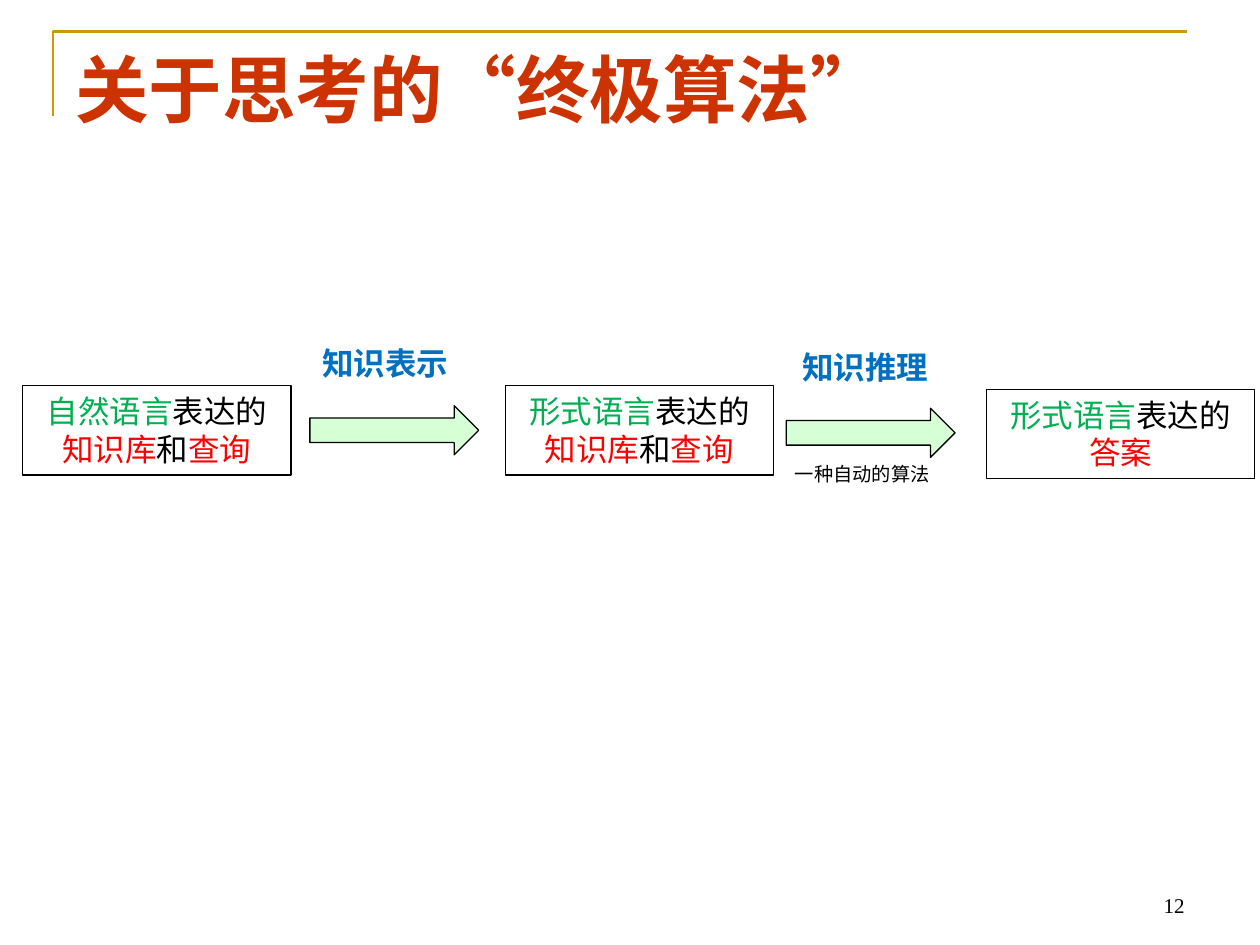
from lxml.etree import SubElement
from pptx import Presentation
from pptx.dml.color import RGBColor
from pptx.enum.shapes import MSO_SHAPE
from pptx.enum.text import MSO_ANCHOR, PP_ALIGN
from pptx.oxml.ns import qn
from pptx.util import Inches, Pt

CJK_FONT = "Noto Sans CJK SC"
BLACK, GREEN, RED, BLUE = "000000", "00B050", "FF0000", "0070C0"


def color(value):
    """Turn a hex string into a colour."""
    return RGBColor.from_string(value)


def place(left, top, width, height):
    """Give a position and size in inches."""
    return [Inches(value) for value in (left, top, width, height)]


def write(box, spans, size, font="Arial", bold=False, align=PP_ALIGN.LEFT,
          anchor=MSO_ANCHOR.TOP, wrap=True):
    """Write coloured spans as one paragraph in a box."""
    frame = box.text_frame
    frame.word_wrap = wrap
    frame.vertical_anchor = anchor
    para = frame.paragraphs[0]
    para.alignment = align
    for text, tint in spans:
        span = para.add_run()
        span.text = text
        formats = {"name": font, "size": Pt(size), "bold": bold}
        for name, value in formats.items():
            setattr(span.font, name, value)
        span.font.color.rgb = color(tint)
        SubElement(span.font._element, qn("a:ea"), typeface=CJK_FONT)


def add_text(page, position, text, tint, size, **formats):
    """Add a text box in one colour."""
    box = page.shapes.add_textbox(*place(*position))
    write(box, [(text, tint)], size, **formats)


def outline(shape, tint, width):
    """Set the line of a shape and remove its shadow."""
    shape.shadow.inherit = False
    shape.line.color.rgb = color(tint)
    shape.line.width = Pt(width)


def add_state(page, left, top, language, spans):
    """Add an outlined box that names a language and its content."""
    box = page.shapes.add_shape(MSO_SHAPE.RECTANGLE, *place(left, top, 2.13, 0.71))
    box.fill.background()
    outline(box, BLACK, 0.75)
    write(box, [(language, GREEN), ("表达的", BLACK), *spans], 18,
          align=PP_ALIGN.CENTER)


def add_step(page, left, top):
    """Add a translucent block arrow."""
    arrow = page.shapes.add_shape(MSO_SHAPE.RIGHT_ARROW, *place(left, top, 1.34, 0.39))
    arrow.fill.solid()
    arrow.fill.fore_color.rgb = color("CCFFCC")
    tint = arrow._element.spPr.find(qn("a:solidFill"))[0]
    SubElement(tint, qn("a:alpha"), val="80000")
    outline(arrow, BLACK, 0.75)


def add_corner_rule(page):
    """Draw the angled rule beside and above the title."""
    builder = page.shapes.build_freeform(Inches(0.42), Inches(0.92))
    corners = [(Inches(0.42), Inches(0.25)), (Inches(9.42), Inches(0.25))]
    builder.add_line_segments(corners, close=False)
    rule = builder.convert_to_shape()
    rule.fill.background()
    outline(rule, "CC9900", 1.5)


def main():
    """Build the slide and save the deck."""
    deck = Presentation()
    deck.slide_width, deck.slide_height = Inches(10), Inches(7.5)
    page = deck.slides.add_slide(deck.slide_layouts[6])

    add_corner_rule(page)
    add_text(page, (0.5, 0.3, 9, 1.25), "关于思考的“终极算法”", "CC3300", 42,
             font=CJK_FONT, bold=True)
    add_text(page, (7.17, 6.83, 2.33, 0.5), "12", BLACK, 12, font="Times New Roman",
             align=PP_ALIGN.RIGHT, anchor=MSO_ANCHOR.BOTTOM)

    knowledge = [("知识库", RED), ("和", BLACK), ("查询", RED)]
    add_state(page, 0.18, 3.06, "自然语言", knowledge)
    add_state(page, 4.01, 3.06, "形式语言", knowledge)
    add_state(page, 7.83, 3.09, "形式语言", [("答案", RED)])

    add_step(page, 2.46, 3.22)
    add_step(page, 6.24, 3.24)
    add_text(page, (2.46, 2.68, 1.21, 0.4), "知识表示", BLUE, 18, bold=True, wrap=False)
    add_text(page, (6.27, 2.71, 1.21, 0.4), "知识推理", BLUE, 18, bold=True, wrap=False)
    add_text(page, (6.21, 3.62, 1.28, 0.29), "一种自动的算法", BLACK, 11, wrap=False)

    deck.save("out.pptx")


if __name__ == "__main__":
    main()
